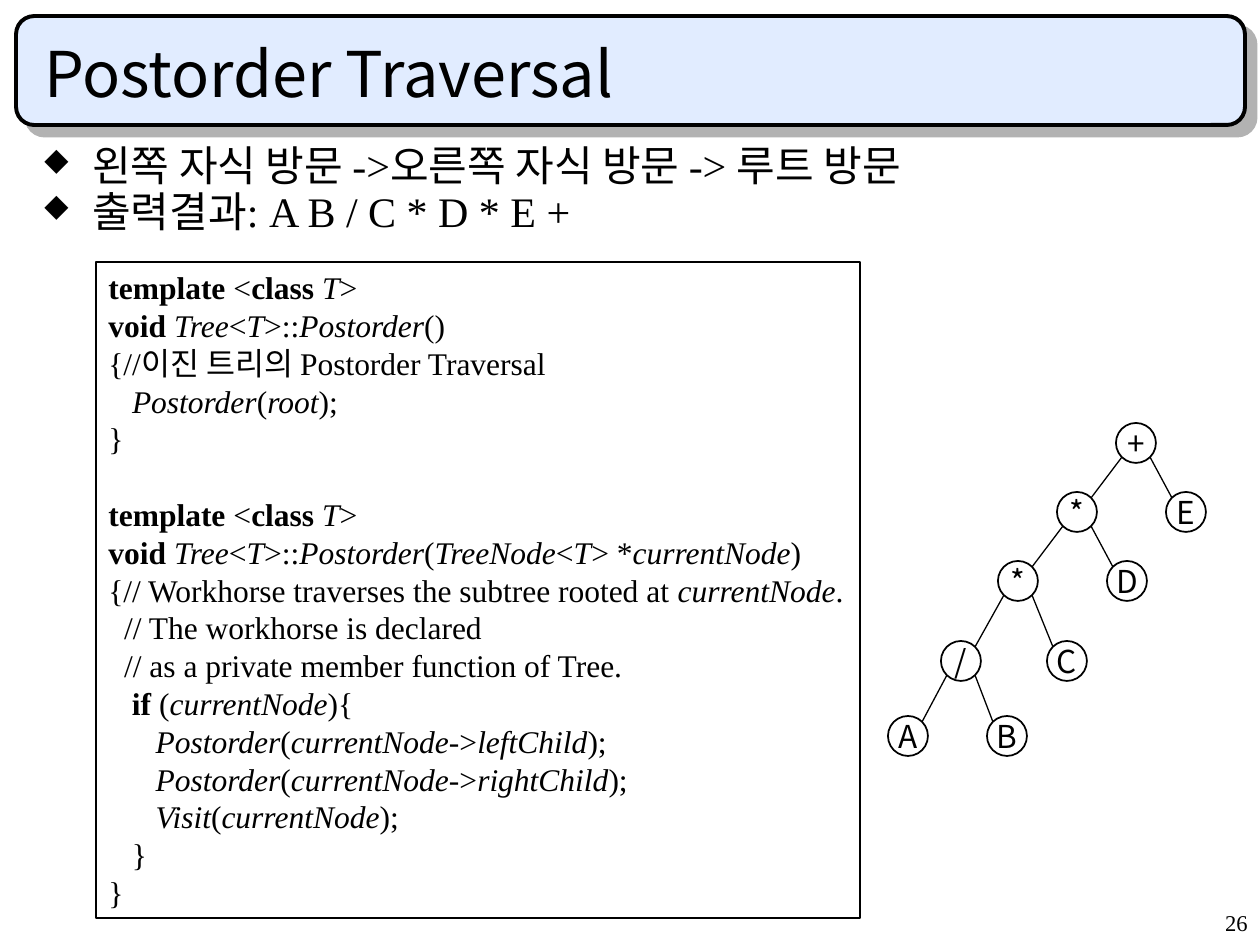
from lxml import etree
from pptx import Presentation
from pptx.dml.color import RGBColor
from pptx.enum.shapes import MSO_CONNECTOR, MSO_SHAPE
from pptx.enum.text import MSO_ANCHOR, MSO_AUTO_SIZE, PP_ALIGN
from pptx.oxml.ns import qn
from pptx.util import Pt

ROUNDED, OVAL = MSO_SHAPE.ROUNDED_RECTANGLE, MSO_SHAPE.OVAL
STRAIGHT = MSO_CONNECTOR.STRAIGHT
TOP, MIDDLE, BOTTOM = MSO_ANCHOR.TOP, MSO_ANCHOR.MIDDLE, MSO_ANCHOR.BOTTOM
LEFT, CENTER, RIGHT = PP_ALIGN.LEFT, PP_ALIGN.CENTER, PP_ALIGN.RIGHT
FIT = MSO_AUTO_SIZE.SHAPE_TO_FIT_TEXT

SCALE = 914400 / 126
SANS, SERIF = "Noto Sans CJK KR", "Times New Roman"
BLACK = "000000"
NODE_SIZE, EDGE_OFFSET = 40, 14

BULLETS = [
    "왼쪽 자식 방문 ->오른쪽 자식 방문 -> 루트 방문",
    "출력결과: A B / C * D * E +",
]

CODE = """`template` <`class `_T_>
`void `_Tree_<_T_>::_Postorder_()
{//이진 트리의 Postorder Traversal
   _Postorder_(_root_);
}

`template` <`class `_T_>
`void `_Tree_<_T_>::_Postorder_(_TreeNode_<_T_> *_currentNode_)
{// Workhorse traverses the subtree rooted at _currentNode_.
  // The workhorse is declared
  // as a private member function of Tree.
`   if `(_currentNode_){
      _Postorder_(_currentNode_->_leftChild_);
      _Postorder_(_currentNode_->_rightChild_);
      _Visit_(_currentNode_);
   }
}"""

NODES = {
    "root": ("+", 1136, 443),
    "upper": ("*", 1077, 512),
    "E": ("E", 1186, 512),
    "lower": ("*", 1018, 581),
    "D": ("D", 1127, 581),
    "divide": ("/", 961, 661),
    "C": ("C", 1067, 661),
    "A": ("A", 908, 736),
    "B": ("B", 1007, 736),
}
CHILDREN = {
    "root": ("upper", "E"),
    "upper": ("lower", "D"),
    "lower": ("divide", "C"),
    "divide": ("A", "B"),
}


def px(*values):
    return [round(v * SCALE) for v in values]


def color(value):
    return RGBColor.from_string(value)


def set_line(line, width):
    line.color.rgb = color(BLACK)
    line.width = Pt(width)


def format_run(r, size, font):
    r.font.size = Pt(size)
    r.font.name = font
    r.font.color.rgb = color(BLACK)
    ea = etree.SubElement(r.font._element, qn("a:ea"))
    ea.set("typeface", SANS)


def add_text(slide, box, lines, size, font, align=LEFT, anchor=TOP):
    sp = slide.shapes.add_textbox(*px(*box))
    tf = sp.text_frame
    tf.word_wrap = True
    tf.vertical_anchor = anchor
    tf.text = "\n".join(lines)
    for p in tf.paragraphs:
        p.alignment = align
        for r in p.runs:
            format_run(r, size, font)
    return sp


def add_title_panel(slide):
    sp = slide.shapes.add_shape(ROUNDED, *px(16, 16, 1229, 109))
    sp.fill.solid()
    sp.fill.fore_color.rgb = color("E1ECFF")
    set_line(sp.line, 2.25)
    sp.shadow.inherit = False
    effects = sp._element.spPr.find(qn("a:effectLst"))
    shadow = etree.SubElement(effects, qn("a:outerShdw"), dist=str(Pt(8.5)),
                              dir="2700000", algn="ctr", rotWithShape="0")
    etree.SubElement(shadow, qn("a:srgbClr"), val="B2B2B2")


def add_bullets(slide):
    sp = add_text(slide, (32, 147, 1187, 105), BULLETS, 24, SERIF)
    for i, p in enumerate(sp.text_frame.paragraphs):
        p.line_spacing = 0.7
        p.space_before = Pt(6 if i else 0)
        pPr = p._p.get_or_add_pPr()
        indent = px(48)[0]
        pPr.set("marL", str(indent))
        pPr.set("indent", str(-indent))
        bullet_color = etree.SubElement(pPr, qn("a:buClr"))
        etree.SubElement(bullet_color, qn("a:srgbClr"), val=BLACK)
        etree.SubElement(pPr, qn("a:buSzPct"), val="75000")
        etree.SubElement(pPr, qn("a:buChar"), char="◆")


def add_code(slide):
    sp = slide.shapes.add_textbox(*px(96, 262, 764, 656))
    set_line(sp.line, 0.75)
    tf = sp.text_frame
    tf.word_wrap = False
    tf.auto_size = FIT
    for i, line in enumerate(CODE.split("\n")):
        p = tf.add_paragraph() if i else tf.paragraphs[0]
        for j, chunk in enumerate(line.split("`")):
            for k, part in enumerate(chunk.split("_")):
                if part:
                    r = p.add_run()
                    r.text = part
                    format_run(r, 18, SERIF)
                    r.font.bold = j % 2 == 1
                    r.font.italic = k % 2 == 1


def add_node(slide, label, x, y):
    half = NODE_SIZE // 2
    sp = slide.shapes.add_shape(OVAL, *px(x - half, y - half, NODE_SIZE, NODE_SIZE))
    sp.fill.background()
    sp.shadow.inherit = False
    set_line(sp.line, 1)
    tf = sp.text_frame
    tf.word_wrap = False
    tf.vertical_anchor = MIDDLE
    tf.text = label
    p = tf.paragraphs[0]
    p.alignment = CENTER
    format_run(p.runs[0], 18, SANS)


def add_edge(slide, parent, child, side):
    _, x1, y1 = NODES[parent]
    _, x2, y2 = NODES[child]
    dx = side * EDGE_OFFSET
    line = slide.shapes.add_connector(
        STRAIGHT, *px(x1 + dx, y1 + EDGE_OFFSET, x2 - dx, y2 - EDGE_OFFSET))
    set_line(line.line, 0.75)
    etree.SubElement(line._element.spPr, qn("a:effectLst"))


def add_tree(slide):
    for node in NODES.values():
        add_node(slide, *node)
    for parent, children in CHILDREN.items():
        for child, side in zip(children, (-1, 1)):
            add_edge(slide, parent, child, side)


def main():
    prs = Presentation()
    prs.slide_width, prs.slide_height = px(1260, 945)
    slide = prs.slides.add_slide(prs.slide_layouts[6])
    add_title_panel(slide)
    add_text(slide, (998, 903, 262, 42), ["26"], 12.9, SERIF, align=RIGHT)
    add_text(slide, (32, 32, 1187, 84), ["Postorder Traversal"], 36, SANS, anchor=BOTTOM)
    add_bullets(slide)
    add_code(slide)
    add_tree(slide)
    prs.save("out.pptx")


if __name__ == "__main__":
    main()
